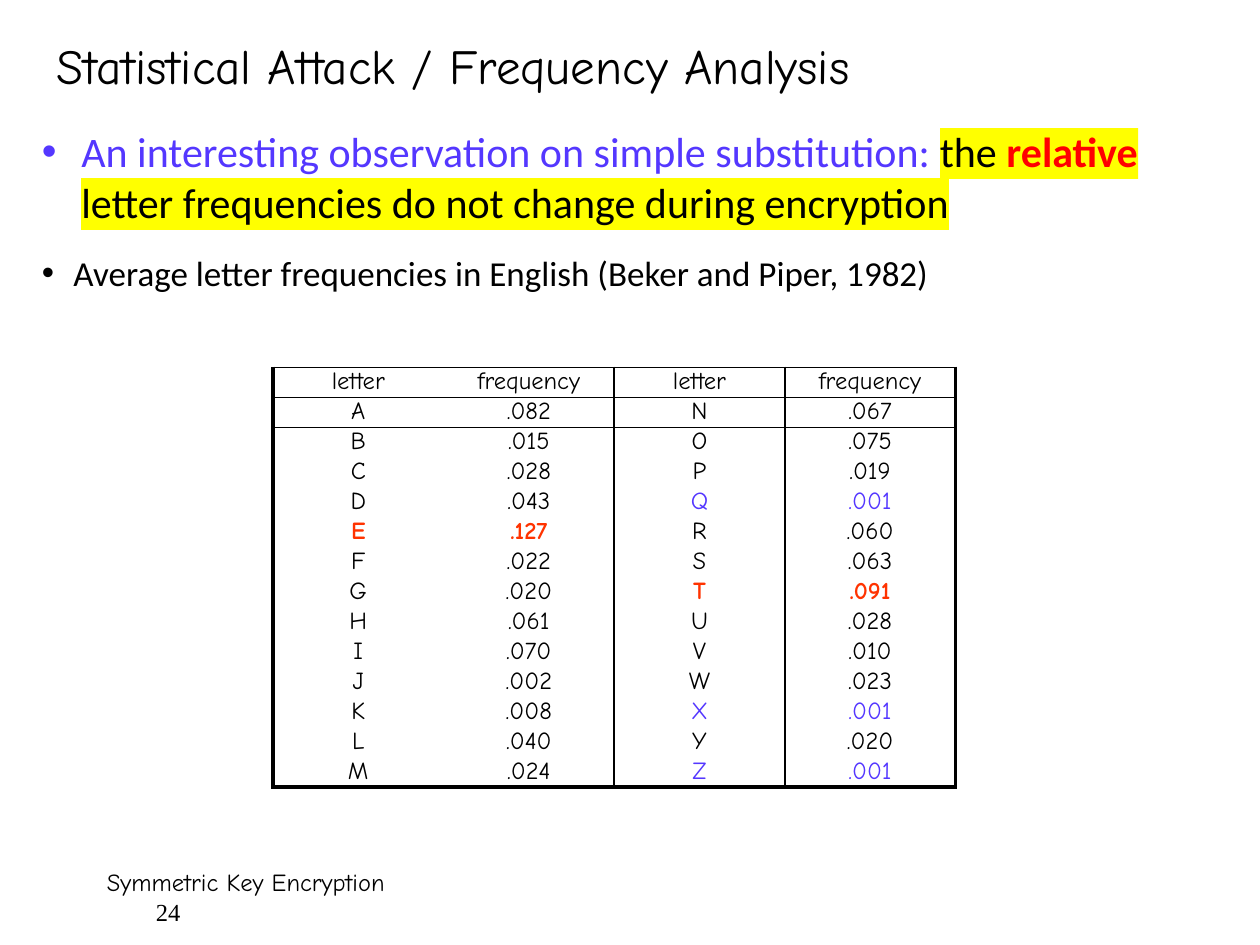
from lxml.etree import SubElement
from pptx import Presentation
from pptx.dml.color import RGBColor
from pptx.enum.text import MSO_ANCHOR as Anchor, PP_ALIGN as Align
from pptx.oxml.ns import qn
from pptx.util import Pt

COLORS = {"ink": "000000", "violet": "5437FF", "red": "FF0000",
          "orange": "FF3300", "marker": "FFFF00"}
HAND, SANS, SERIF = "Comic Neue", "Calibri", "Times New Roman"
PLAIN_TABLE = "{2D5ABB26-0587-4C30-8999-92F81FD0307C}"

LEFT_FREQUENCIES = [
    ("A", ".082"), ("B", ".015"), ("C", ".028"), ("D", ".043"), ("E", ".127"),
    ("F", ".022"), ("G", ".020"), ("H", ".061"), ("I", ".070"), ("J", ".002"),
    ("K", ".008"), ("L", ".040"), ("M", ".024")]
RIGHT_FREQUENCIES = [
    ("N", ".067"), ("O", ".075"), ("P", ".019"), ("Q", ".001"), ("R", ".060"),
    ("S", ".063"), ("T", ".091"), ("U", ".028"), ("V", ".010"), ("W", ".023"),
    ("X", ".001"), ("Y", ".020"), ("Z", ".001")]
MOST_FREQUENT, LEAST_FREQUENT = "ET", "QXZ"


def add_text(paragraph, text, font=SANS, size=14, color="ink", bold=False,
             highlight=None):
    run = paragraph.add_run()
    run.text = text
    run.font.name = font
    run.font.size = Pt(size)
    run.font.bold = bold
    run.font.color.rgb = RGBColor.from_string(COLORS[color])
    if highlight:
        props = run.font._element
        marker = SubElement(props, qn("a:highlight"))
        SubElement(marker, qn("a:srgbClr"), val=COLORS[highlight])
        props.find(qn("a:solidFill")).addnext(marker)


def add_frame(slide, box, inset=(0, 0), wrap=True):
    frame = slide.shapes.add_textbox(*map(Pt, box)).text_frame
    frame.margin_left = frame.margin_right = Pt(inset[0])
    frame.margin_top = frame.margin_bottom = Pt(inset[1])
    frame.word_wrap = wrap
    return frame


def indent(paragraph, left, bullet=False):
    props = paragraph._p.get_or_add_pPr()
    props.set("marL", str(Pt(left)))
    if bullet:
        props.set("indent", str(-Pt(left)))
        SubElement(props, qn("a:buFont"), typeface="Arial")
        SubElement(props, qn("a:buChar"), char="•")


def add_title(slide, box):
    title = add_frame(slide, box, wrap=False).paragraphs[0]
    add_text(title, "Statistical Attack / Frequency Analysis", HAND, 28)


def add_observation(slide, box):
    observation = add_frame(slide, box).paragraphs[0]
    indent(observation, 22.5, bullet=True)
    add_text(observation, "An interesting observation on simple substitution: ",
             size=24, color="violet")
    add_text(observation, "the ", size=24, highlight="marker")
    add_text(observation, "relative", size=24, color="red", bold=True,
             highlight="marker")
    add_text(observation, " letter frequencies do not change during encryption",
             size=24, highlight="marker")


def add_citation(slide, box):
    citation = add_frame(slide, box).paragraphs[0]
    indent(citation, 18, bullet=True)
    add_text(citation,
             "Average letter frequencies in English (Beker and Piper, 1982)",
             size=20)


def set_borders(cell, **widths):
    props = cell._tc.get_or_add_tcPr()
    for side in "LRTB":  # the order the schema asks for
        if side in widths:
            line = SubElement(props, qn(f"a:ln{side}"), w=str(Pt(widths[side])))
            fill = SubElement(line, qn("a:solidFill"))
            SubElement(fill, qn("a:srgbClr"), val=COLORS["ink"])


def cell_borders(row, column, last_row):
    borders = {0: {"L": 2.25}, 1: {"R": 1}, 2: {"L": 1}, 3: {"R": 2.25}}[column]
    if row == 0:
        borders.update(T=1, B=1)
    elif row == 1:
        borders.update(T=1)
    elif row == last_row:
        borders.update(B=2.25)
    return borders


def add_frequency_table(slide, box):
    header = ("letter", "frequency") * 2
    rows = [header] + [left + right for left, right
                       in zip(LEFT_FREQUENCIES, RIGHT_FREQUENCIES)]
    graphic = slide.shapes.add_table(len(rows), len(header), *map(Pt, box))
    table = graphic.table
    table.first_row = table.horz_banding = False
    graphic._element.find(".//" + qn("a:tableStyleId")).text = PLAIN_TABLE

    for column in table.columns:
        column.width = Pt(box[2] / len(header))
    for r, values in enumerate(rows):
        table.rows[r].height = Pt(box[3] / len(rows))
        for c, value in enumerate(values):
            letter = values[c - c % 2]
            common = letter in MOST_FREQUENT
            rare = letter in LEAST_FREQUENT
            cell = table.cell(r, c)
            cell.margin_left = cell.margin_right = 0
            cell.margin_top = cell.margin_bottom = 0
            cell.vertical_anchor = Anchor.TOP
            set_borders(cell, **cell_borders(r, c, len(rows) - 1))
            cell.fill.background()
            entry = cell.text_frame.paragraphs[0]
            entry.alignment = Align.CENTER
            add_text(entry, value, HAND, bold=common,
                     color="orange" if common else "violet" if rare else "ink")


def add_footer(slide, box):
    frame = add_frame(slide, box, inset=(7.2, 3.6))
    add_text(frame.paragraphs[0], "Symmetric Key Encryption", HAND)
    page_number = frame.add_paragraph()
    indent(page_number, 28)
    add_text(page_number, "24", SERIF)


def main():
    deck = Presentation()
    deck.slide_width, deck.slide_height = Pt(720), Pt(540)
    slide = deck.slides.add_slide(deck.slide_layouts[6])
    add_title(slide, (32.4, 20.2, 524, 34))
    add_observation(slide, (24, 72, 678, 58.5))
    add_frequency_table(slide, (156, 210, 390, 239.75))
    add_citation(slide, (24, 144, 684, 24.5))
    add_footer(slide, (54, 492, 618, 36))
    deck.save("out.pptx")


if __name__ == "__main__":
    main()
